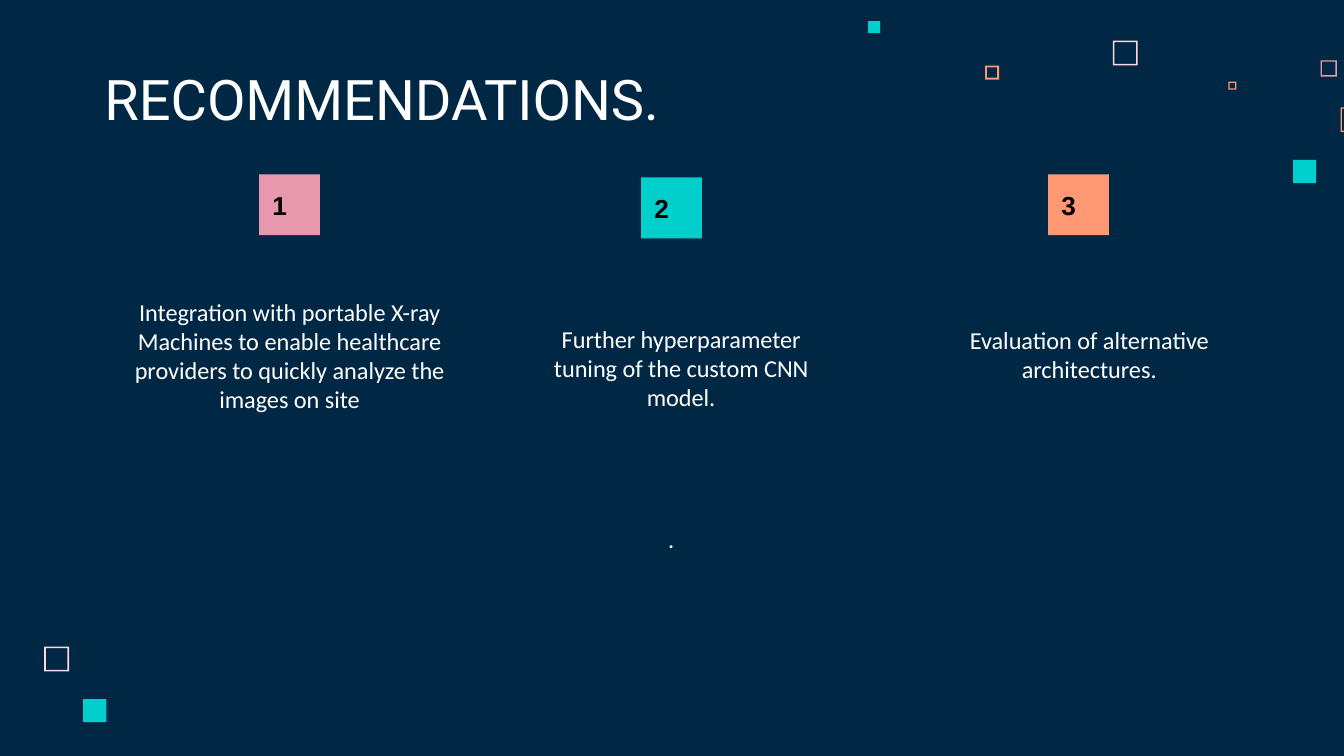
from lxml import etree
from pptx import Presentation
from pptx.dml.color import RGBColor
from pptx.enum.shapes import MSO_SHAPE
from pptx.enum.text import MSO_ANCHOR, MSO_AUTO_SIZE, PP_ALIGN
from pptx.oxml.ns import qn
from pptx.util import Pt

RECTANGLE = MSO_SHAPE.RECTANGLE
TOP, MIDDLE, BOTTOM = MSO_ANCHOR.TOP, MSO_ANCHOR.MIDDLE, MSO_ANCHOR.BOTTOM
LEFT, CENTER = PP_ALIGN.LEFT, PP_ALIGN.CENTER
NO_AUTOFIT = MSO_AUTO_SIZE.NONE
COMPARISON_LAYOUT = 4  # a title and four text placeholders

NAVY, WHITE, BLACK = "002845", "FFFFFF", "000000"
TEAL, ORANGE, PINK, PALE_PINK = "00CFCC", "FF9973", "E898AC", "FFD6E1"


def color(hex_string):
    return RGBColor.from_string(hex_string)


def write(shape, text, font, size, hex_color, align, anchor, bold=False):
    """Fill a shape with one unbulleted paragraph in a single style."""
    frame = shape.text_frame
    frame.text = text
    frame.word_wrap = True
    frame.auto_size = NO_AUTOFIT
    frame.vertical_anchor = anchor
    frame.margin_left = frame.margin_right = Pt(7.2)
    frame.margin_top = frame.margin_bottom = Pt(7.2)
    paragraph = frame.paragraphs[0]
    paragraph.alignment = align
    paragraph.space_before = Pt(0)
    properties = paragraph._p.get_or_add_pPr()
    properties.set("marL", "0")
    properties.set("indent", "0")
    etree.SubElement(properties, qn("a:buNone"))
    run_font = paragraph.runs[0].font
    run_font.name = font
    run_font.size = Pt(size)
    run_font.bold = bold
    run_font.color.rgb = color(hex_color)


presentation = Presentation()
presentation.slide_width = Pt(720)
presentation.slide_height = Pt(405)
slide = presentation.slides.add_slide(presentation.slide_layouts[COMPARISON_LAYOUT])
slide.background.fill.solid()
slide.background.fill.fore_color.rgb = color(NAVY)

# Title
title = slide.shapes.title
title.left, title.top, title.width, title.height = Pt(48.7), Pt(32.4), Pt(372.2), Pt(45.4)
write(title, "RECOMMENDATIONS.", "Roboto", 30, WHITE, LEFT, BOTTOM)

# Recommendations: text, left, top, width, height
recommendations = [
    ("Integration with portable X-ray Machines to enable healthcare providers "
     "to quickly analyze the images on site", 62.6, 151.9, 185, 149.8),
    ("Further hyperparameter tuning of the custom CNN model.", 278.1, 166.3, 173.5, 64.8),
    ("Evaluation of alternative architectures.", 494.2, 167, 178.6, 64.8),
    (".", 278.1, 273.8, 162.9, 64.8),
]
bodies = list(slide.placeholders)[1:]
for body, (text, left, top, width, height) in zip(bodies, recommendations):
    body.left, body.top, body.width, body.height = Pt(left), Pt(top), Pt(width), Pt(height)
    write(body, text, "Calibri", 13, WHITE, CENTER, TOP)

# Hollow frames: left, top, side, thickness, colour
frames = [
    (596.2, 21.7, 13.3, 0.85, PALE_PINK),
    (707.4, 32.3, 8.7, 0.7, PINK),
    (658.1, 43.7, 4.3, 0.7, ORANGE),
    (718.2, 57.6, 13.1, 0.7, ORANGE),
    (527.7, 35.1, 7.5, 1, ORANGE),
    (23.7, 346.4, 13.3, 0.85, PALE_PINK),
]
for left, top, side, thickness, hex_color in frames:
    right, bottom = left + side, top + side
    inner_left, inner_top = left + thickness, top + thickness
    inner_right, inner_bottom = right - thickness, bottom - thickness
    outer = [(left, top), (left, bottom), (right, bottom), (right, top)]
    inner = [(inner_left, inner_top), (inner_right, inner_top),
             (inner_right, inner_bottom), (inner_left, inner_bottom)]
    builder = slide.shapes.build_freeform(Pt(left), Pt(top))
    builder.add_line_segments([(Pt(x), Pt(y)) for x, y in outer[1:]], close=True)
    builder.move_to(Pt(inner_left), Pt(inner_top))
    builder.add_line_segments([(Pt(x), Pt(y)) for x, y in inner[1:]], close=True)
    square_frame = builder.convert_to_shape()
    square_frame.shadow.inherit = False
    square_frame.fill.solid()
    square_frame.fill.fore_color.rgb = color(hex_color)
    square_frame.line.fill.background()

# Filled squares: left, top, side, colour, number
squares = [
    (692.7, 85.7, 12.4, TEAL, ""),
    (465.1, 11.4, 6.4, TEAL, ""),
    (44.6, 374.5, 12.4, TEAL, ""),
    (138.8, 93.5, 32.6, PINK, "1"),
    (343.5, 95.1, 32.6, TEAL, "2"),
    (561.5, 93.5, 32.6, ORANGE, "3"),
]
for left, top, side, hex_color, number in squares:
    square = slide.shapes.add_shape(RECTANGLE, Pt(left), Pt(top), Pt(side), Pt(side))
    square.shadow.inherit = False
    square.fill.solid()
    square.fill.fore_color.rgb = color(hex_color)
    square.line.fill.background()
    if number:
        write(square, number, "Arial", 14, BLACK, LEFT, MIDDLE, bold=True)

presentation.save("out.pptx")
